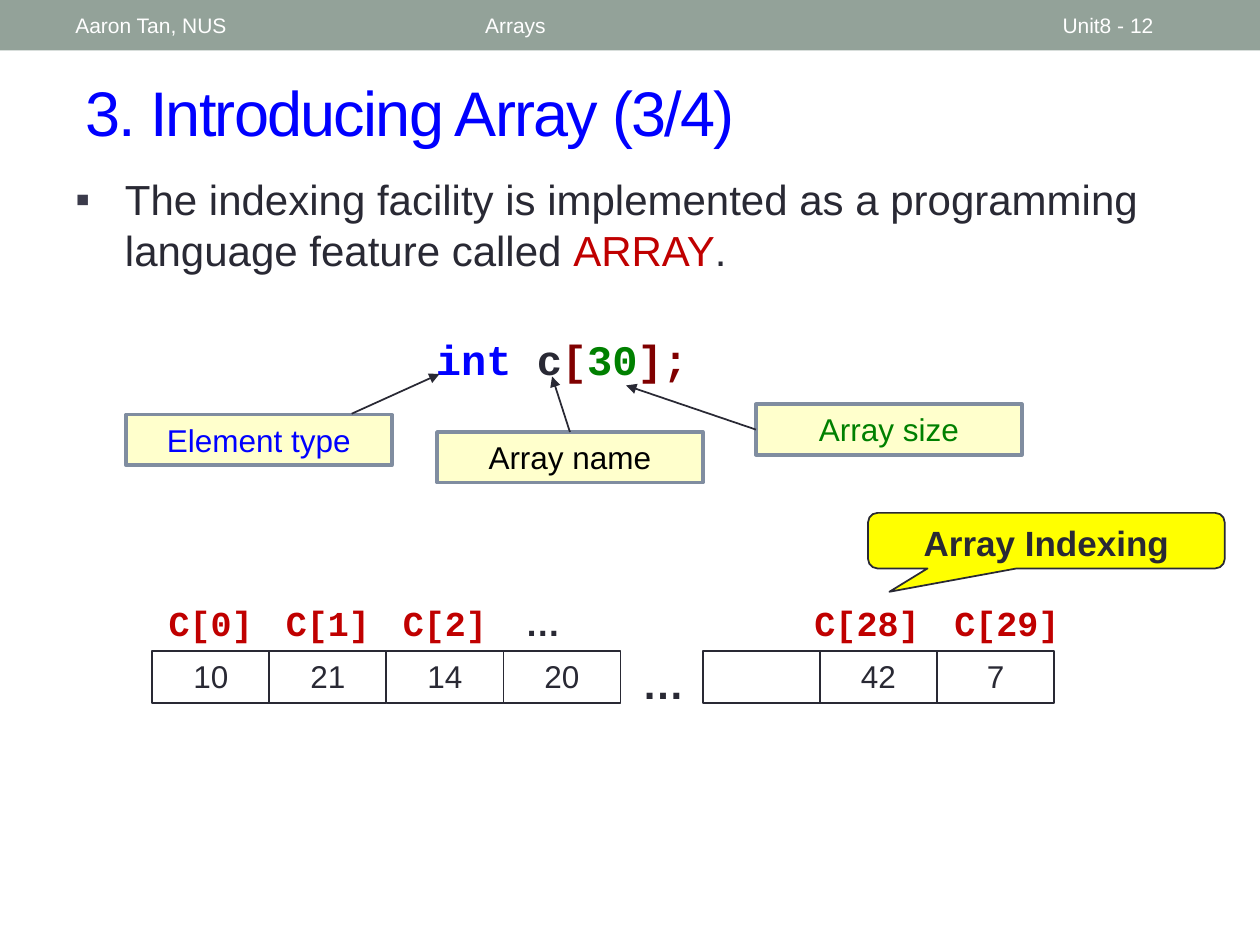
from pptx import Presentation
from pptx.dml.color import RGBColor
from pptx.enum.shapes import MSO_CONNECTOR, MSO_SHAPE
from pptx.enum.text import MSO_ANCHOR, PP_ALIGN
from pptx.oxml.ns import qn
from pptx.util import Cm, Pt
from lxml import etree

RECT = MSO_SHAPE.RECTANGLE
CALLOUT = MSO_SHAPE.ROUNDED_RECTANGULAR_CALLOUT
STRAIGHT = MSO_CONNECTOR.STRAIGHT
TOP, MIDDLE = MSO_ANCHOR.TOP, MSO_ANCHOR.MIDDLE
LEFT, CENTER = PP_ALIGN.LEFT, PP_ALIGN.CENTER

COLORS = {
    "header": "93A299", "white": "FFFFFF", "black": "000000", "ink": "292934",
    "blue": "0000FF", "red": "C00000", "maroon": "800000", "green": "008000",
    "cream": "FFFFCC", "label_border": "808DA0", "yellow": "FFFF00",
    "bullet": "3B3B4B",
}
HEADER_FONT = {"name": "Arial", "size": Pt(12)}
TITLE_FONT = {"name": "Arial", "size": Pt(36)}
BODY_FONT = {"name": "Arial", "size": Pt(24)}
CODE_FONT = {"name": "Courier New", "size": Pt(24), "bold": True}
INDEX_FONT = {"name": "Courier New", "size": Pt(20), "bold": True}
CALLOUT_FONT = {"name": "Arial", "size": Pt(20), "bold": True}
GAP_FONT = {"name": "Arial", "size": Pt(24), "bold": True}
CELL_FONT = {"name": "Arial", "size": Pt(18)}


def rgb(color):
    return RGBColor.from_string(COLORS[color])


def write(shape, runs, font, align=LEFT, anchor=TOP):
    """Fill the shape with one paragraph of (text, color) runs and return it."""
    frame = shape.text_frame
    frame.word_wrap = True
    frame.vertical_anchor = anchor
    paragraph = frame.paragraphs[0]
    paragraph.alignment = align
    for text, color in runs:
        run = paragraph.add_run()
        run.text = text
        for key, value in font.items():
            setattr(run.font, key, value)
        run.font.color.rgb = rgb(color)
    return paragraph


def add_text(shapes, box, runs, font, align=LEFT, anchor=TOP):
    textbox = shapes.add_textbox(*map(Cm, box))
    return write(textbox, runs, font, align, anchor)


def add_box(shapes, box, fill=None, border=None, width=1, kind=RECT):
    shape = shapes.add_shape(kind, *map(Cm, box))
    shape.shadow.inherit = False
    if fill:
        shape.fill.solid()
        shape.fill.fore_color.rgb = rgb(fill)
    else:
        shape.fill.background()
    if border:
        shape.line.color.rgb = rgb(border)
        shape.line.width = Pt(width)
    else:
        shape.line.fill.background()
    return shape


def add_arrow(shapes, start, end):
    arrow = shapes.add_connector(STRAIGHT, *map(Cm, start + end))
    arrow.line.color.rgb = rgb("ink")
    arrow.line.width = Pt(1)
    properties = arrow._element.spPr
    etree.SubElement(properties.find(qn("a:ln")), qn("a:tailEnd"), type="triangle")
    etree.SubElement(properties, qn("a:effectLst"))
    return arrow


def add_header(shapes, box):
    left, top, width, height = box
    add_box(shapes, box, "header")
    for text, x, text_width in (("Aaron Tan, NUS", 1.27, 8.05),
                                ("Arrays", 9.53, 11.43),
                                ("Unit8 - 12", 21.17, 2.96)):
        add_text(shapes, (left + x, top + 0.05, text_width, height - 0.1),
                 [(text, "white")], HEADER_FONT, anchor=MIDDLE)


def add_title(shapes, box):
    title = add_text(shapes, box, [("3. Introducing Array (3/4)", "blue")],
                     TITLE_FONT, anchor=MIDDLE)
    title.runs[0].font._element.set("spc", "-100")


def add_body(shapes, box):
    body = add_text(shapes, box, [
        ("The indexing facility is implemented as a programming "
         "language feature called ", "ink"),
        ("ARRAY", "red"), (".", "ink")], BODY_FONT)
    properties = body._p.get_or_add_pPr()
    properties.set("marL", str(Cm(1)))
    properties.set("indent", str(-Cm(1)))
    bullet_color = etree.SubElement(properties, qn("a:buClr"))
    etree.SubElement(bullet_color, qn("a:srgbClr"), val=COLORS["bullet"])
    etree.SubElement(properties, qn("a:buFont"), typeface="Arial")
    etree.SubElement(properties, qn("a:buChar"), char="▪")


def add_declaration(shapes, box):
    """Place the code line and the three labels that point at its parts."""
    left, top, _, _ = box
    add_text(shapes, (left + 5.49, top, 6.6, 1.3),
             [("int ", "blue"), ("c", "ink"), ("[", "maroon"),
              ("30", "green"), ("];", "maroon")], CODE_FONT, CENTER)

    label_width, label_height = 5.36, 1.02
    # text, color, label position, arrow start, arrow end, side joined
    labels = (
        ("Array name", "black", (6.27, 2.11), (8.95, 2.11), (8.59, 0.99), 0),
        ("Element type", "blue", (0, 1.76), (4.55, 1.74), (6.32, 0.94), None),
        ("Array size", "green", (12.7, 1.55), (12.7, 2.06), (10.08, 1.17), 1),
    )
    for text, color, corner, start, end, side in labels:
        group = shapes.add_group_shape().shapes
        x, y = left + corner[0], top + corner[1]
        label = add_box(group, (x, y, label_width, label_height),
                        "cream", "label_border", 2.08)
        write(label, [(text, color)], CELL_FONT, CENTER)
        arrow = add_arrow(group, (left + start[0], top + start[1]),
                          (left + end[0], top + end[1]))
        if side is not None:
            arrow.begin_connect(label, side)


def add_array(shapes, box):
    """Place the row of cells with the index of each above it."""
    left, top, _, height = box
    index_height, cell_height = 1.12, 1.04
    cell_width, wide_index = 2.36, 2.82
    cell_top = top + height - cell_height
    tail_left = left + 11.1
    group = shapes.add_group_shape().shapes

    for start, values in ((left, ("10", "21", "14", "20")),
                          (tail_left, ("", "42", "7"))):
        for i, value in enumerate(values):
            cell = add_box(group, (start + i * cell_width, cell_top,
                                   cell_width, cell_height), border="ink")
            if value:
                write(cell, [(value, "ink")], CELL_FONT, CENTER)
    add_text(group, (left + 9.55, cell_top, 1.5, 1),
             [("…", "ink")], GAP_FONT, CENTER)

    last_left = tail_left + 2 * cell_width
    indexes = [(f"C[{i}]", left + i * cell_width, cell_width) for i in range(3)]
    indexes += [("C[28]", last_left - wide_index, wide_index),
                ("C[29]", last_left, wide_index)]
    for text, x, width in indexes:
        add_text(group, (x, top, width, index_height),
                 [(text, "red")], INDEX_FONT, CENTER)
    add_text(group, (left + 7.19, top, 1.37, index_height),
             [("…", "ink")], CALLOUT_FONT, CENTER)


def add_callout(shapes, box):
    callout = add_box(shapes, box, "yellow", "ink", kind=CALLOUT)
    for i, value in enumerate((-0.44, 0.92, 0.17)):
        callout.adjustments[i] = value
    write(callout, [("Array Indexing", "ink")], CALLOUT_FONT, CENTER)


def main():
    deck = Presentation()
    deck.slide_width, deck.slide_height = Cm(25.4), Cm(19.05)
    shapes = deck.slides.add_slide(deck.slide_layouts[6]).shapes
    add_header(shapes, (0, 0, 25.4, 1.02))
    add_title(shapes, (1.47, 1.07, 23.29, 2.34))
    add_body(shapes, (1.27, 3.38, 22.25, 2.82))
    add_declaration(shapes, (2.54, 6.6, 18.06, 3.13))
    add_array(shapes, (3.07, 12.01, 18.64, 2.16))
    add_callout(shapes, (17.5, 10.34, 7.19, 1.12))
    deck.save("out.pptx")


if __name__ == "__main__":
    main()
